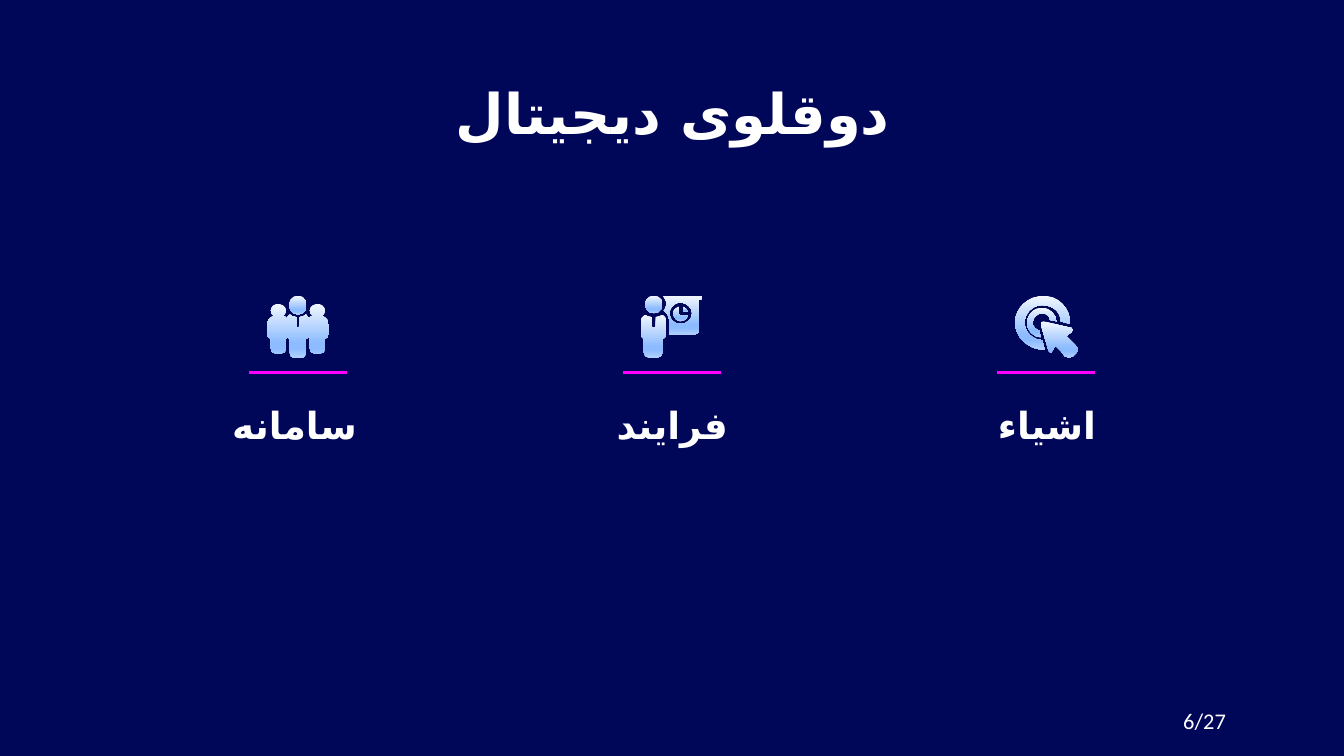
import copy

import pptx
import pptx.dml.color
import pptx.enum.shapes
import pptx.enum.text
import pptx.oxml.ns
import pptx.util
from lxml import etree
from pptx.util import Cm

NAVY = pptx.dml.color.RGBColor(0x00, 0x06, 0x58)
WHITE = pptx.dml.color.RGBColor(0xFF, 0xFF, 0xFF)
MAGENTA = pptx.dml.color.RGBColor(0xFF, 0x00, 0xFF)
ICE = pptx.dml.color.RGBColor(0xF2, 0xF7, 0xFF)
SKY = pptx.dml.color.RGBColor(0x8C, 0xBB, 0xFF)
PALE_BLUE = pptx.dml.color.RGBColor(0xB2, 0xD1, 0xFF)
ICON_STOPS = [(0, ICE), (0.74, SKY), (0.83, SKY), (1, PALE_BLUE)]

MIDDLE = 12.7
COLUMN_STEP = 7.07
ICON_TOP = 5.59
ICON_SIZE = 1.17
ICON_GRID = 46

# Outlines on a 46 x 46 grid: M moves, L draws a line, C a Bezier curve.
LEFT_HALF_OF_GROUP = (
    "M 23 46 L 21 46 C 18 46 17 44 17 42 L 17 32 C 16 32 16 32 15 31 "
    "C 15 32 14 32 14 32 L 14 39 C 14 42 12 43 10 43 L 7 43 C 5 43 3 42 3 39 "
    "L 3 32 C 2 32 0 30 0 29 L 0 22 C 0 19 2 16 5 15 C 4 14 3 13 3 11 "
    "C 3 8 6 6 8 6 C 11 6 14 8 14 11 C 14 13 13 14 12 15 C 13 15 14 16 15 17 "
    "C 15 16 16 15 17 14 C 18 15 20 16 22 16 L 22 23 C 22 24 23 24 23 24")
PRESENTER_BODY = (
    "M 3 14 C 1 15 0 17 0 20 L 0 28 C 0 30 1 32 2 32 L 2 42 C 2 44 4 46 6 46 "
    "L 12 46 C 14 46 16 44 16 42 L 16 32 C 17 32 19 30 19 28 L 19 20 "
    "C 19 17 17 15 16 14 C 14 15 13 16 11 16 L 11 23 C 11 24 10 24 9 24 "
    "C 8 24 8 24 8 23 L 8 16 C 6 16 4 15 3 14")
BOARD = (
    "M 29 5 C 34 5 38 9 38 13 C 38 18 34 21 29 21 C 25 21 21 18 21 13 "
    "C 21 9 25 5 29 5 M 16 0 C 17 1 19 4 19 6 C 19 8 18 10 17 11 "
    "C 20 13 21 16 21 20 L 21 28 C 21 29 21 29 21 29 L 39 29 "
    "C 41 29 43 28 43 25 L 43 3 L 44 3 C 46 3 46 0 44 0")
CLOCK_FACE = (
    "M 28 8 C 26 9 24 11 24 13 C 24 16 27 19 29 19 C 32 19 34 17 35 15 "
    "L 29 15 C 29 15 28 14 28 13 L 28 8")
CLOCK_QUARTER = "M 31 8 L 31 12 L 35 12 C 34 10 33 9 31 8"
CURSOR = (
    "M 21 19 C 20 19 19 20 19 21 L 25 41 C 25 42 26 42 26 42 "
    "C 27 42 27 42 27 42 L 30 37 L 34 41 L 37 45 C 38 45 39 46 40 46 "
    "C 41 46 42 45 43 45 L 45 43 C 47 41 47 39 45 37 L 38 30 L 42 27 "
    "C 43 26 43 25 42 24 L 21 19")
INNER_RING = (
    "M 20 9 C 14 9 9 14 9 20 C 9 26 13 30 19 31 L 18 26 C 15 25 13 23 13 20 "
    "C 13 16 17 13 20 13 C 23 13 26 15 26 18 L 31 19 C 30 14 26 9 20 9")
OUTER_RING = (
    "M 21 0 C 10 0 0 9 0 20 C 0 31 10 40 21 40 C 21 40 22 40 22 40 L 20 33 "
    "C 13 33 7 27 7 20 C 7 13 13 7 20 7 C 28 7 34 12 34 19 L 41 21 "
    "C 41 16 39 10 35 6 C 31 2 26 0 21 0")


def trace(outline):
    """Split an outline into contours, each a pair of commands and points."""
    contours = []
    tokens = iter(outline.split())
    for command in tokens:
        count = 3 if command == "C" else 1
        points = [(int(next(tokens)), int(next(tokens))) for _ in range(count)]
        if command == "M":
            contours.append(("", points))
        else:
            commands, earlier = contours[-1]
            contours[-1] = (commands + command, earlier + points)
    return contours


def mirror(contours):
    """Complete each left half with its reflection."""
    return [(commands + commands[::-1],
             points + [(ICON_GRID - x, y) for x, y in points[-2::-1]])
            for commands, points in contours]


def bend_curves(outline, commands):
    """Join each three line segments that stand for a C into one Bezier curve."""
    segments = iter(list(outline._element.iter(pptx.oxml.ns.qn("a:lnTo"))))
    for command in commands:
        segment = next(segments)
        if command == "C":
            segment.tag = pptx.oxml.ns.qn("a:cubicBezTo")
            for follower in (next(segments), next(segments)):
                segment.append(follower[0])
                follower.getparent().remove(follower)


def paint_icon_part(part):
    part.shadow.inherit = False
    part.line.fill.background()
    part.fill.gradient()
    part.fill.gradient_angle = 270
    stop_list = part._element.spPr.find(".//" + pptx.oxml.ns.qn("a:gsLst"))
    for _ in range(len(ICON_STOPS) - len(stop_list)):
        stop_list.append(copy.deepcopy(stop_list[0]))
    for stop, (position, color) in zip(part.fill.gradient_stops, ICON_STOPS):
        stop.position = position
        stop.color.rgb = color


def add_icon(slide, center, parts, head=None):
    """Draw an icon; head is the left, top, width and height of an oval."""
    left, top = Cm(center - ICON_SIZE / 2), Cm(ICON_TOP)
    unit = Cm(ICON_SIZE) / ICON_GRID
    icon = slide.shapes.add_group_shape()
    if head:
        x, y, width, height = (round(value * unit) for value in head)
        paint_icon_part(icon.shapes.add_shape(
            pptx.enum.shapes.MSO_SHAPE.OVAL, left + x, top + y, width, height))
    for contours in parts:
        builder = icon.shapes.build_freeform(*contours[0][1][0], scale=unit)
        for index, (_, points) in enumerate(contours):
            if index:
                builder.move_to(*points[0])
            builder.add_line_segments(points[1:], close=True)
        outline = builder.convert_to_shape(left, top)
        bend_curves(outline, "".join(commands for commands, _ in contours))
        paint_icon_part(outline)


def add_underline(slide, center):
    y = Cm(7.04)
    underline = slide.shapes.add_connector(
        pptx.enum.shapes.MSO_CONNECTOR.STRAIGHT,
        Cm(center - 0.92), y, Cm(center + 0.92), y)
    underline.line.color.rgb = MAGENTA
    underline.line.width = pptx.util.Pt(1.5)
    etree.SubElement(underline._element.spPr, pptx.oxml.ns.qn("a:effectLst"))


def format_text(box, text, size, font, align, anchor, bold=False):
    frame = box.text_frame
    frame.text = text
    frame.word_wrap = True
    frame.auto_size = pptx.enum.text.MSO_AUTO_SIZE.NONE
    frame.vertical_anchor = anchor
    frame.margin_left = frame.margin_right = Cm(0.25)
    paragraph = frame.paragraphs[0]
    paragraph.alignment = align
    paragraph.space_before = pptx.util.Pt(0)
    run = paragraph.runs[0]
    run.font.size = pptx.util.Pt(size)
    run.font.name = font
    run.font.bold = bold
    run.font.color.rgb = WHITE


def fill_heading(placeholder, text, area, size, anchor):
    """Place a centred right-to-left heading without a bullet."""
    placeholder.left, placeholder.top, placeholder.width, placeholder.height = map(Cm, area)
    format_text(placeholder, text, size, "Lato",
                pptx.enum.text.PP_ALIGN.CENTER, anchor, bold=True)
    frame = placeholder.text_frame
    frame.margin_top = frame.margin_bottom = Cm(0.25)
    paragraph = frame.paragraphs[0]
    properties = paragraph._p.get_or_add_pPr()
    for name, value in (("marL", "0"), ("indent", "0"), ("rtl", "1")):
        properties.set(name, value)
    etree.SubElement(properties, pptx.oxml.ns.qn("a:buNone"))
    script_font = etree.SubElement(paragraph.runs[0]._r.rPr, pptx.oxml.ns.qn("a:cs"))
    script_font.set("typeface", "DejaVu Sans")


def add_page_number(slide, text):
    box = slide.shapes.add_textbox(Cm(17.7), Cm(13.25), Cm(5.72), Cm(0.76))
    format_text(box, text, 12, "Calibri", pptx.enum.text.PP_ALIGN.RIGHT,
                pptx.enum.text.MSO_ANCHOR.MIDDLE)


def main():
    presentation = pptx.Presentation()
    presentation.slide_width, presentation.slide_height = Cm(25.4), Cm(14.29)
    slide = presentation.slides.add_slide(
        presentation.slide_layouts.get_by_name("Comparison"))
    slide.background.fill.solid()
    slide.background.fill.fore_color.rgb = NAVY

    anchors = pptx.enum.text.MSO_ANCHOR
    fill_heading(slide.shapes.title, "دوقلوی دیجیتال",
                 (2.01, 1.24, 21.41, 1.6), 30, anchors.TOP)

    group = [mirror(trace(LEFT_HALF_OF_GROUP))]
    presenter = [trace(part) for part in (CLOCK_FACE, CLOCK_QUARTER, PRESENTER_BODY, BOARD)]
    target = [trace(part) for part in (CURSOR, INNER_RING, OUTER_RING)]
    columns = [
        ("سامانه", 2.01, 7.11, group, (16.5, 0, 13, 14)),
        ("فرایند", 9.68, 6.05, presenter, (3, 0, 13, 13)),
        ("اشیاء", 16.76, 6.05, target, None),
    ]
    _, *labels, spare = slide.placeholders
    for index, (text, left, width, icon, head) in enumerate(columns):
        center = MIDDLE + (index - 1) * COLUMN_STEP
        fill_heading(labels[index], text, (left, 7.37, width, 1.32), 20, anchors.BOTTOM)
        add_underline(slide, center)
        add_icon(slide, center, icon, head)
    spare._element.getparent().remove(spare._element)

    add_page_number(slide, "6/27")
    presentation.save("out.pptx")


if __name__ == "__main__":
    main()
